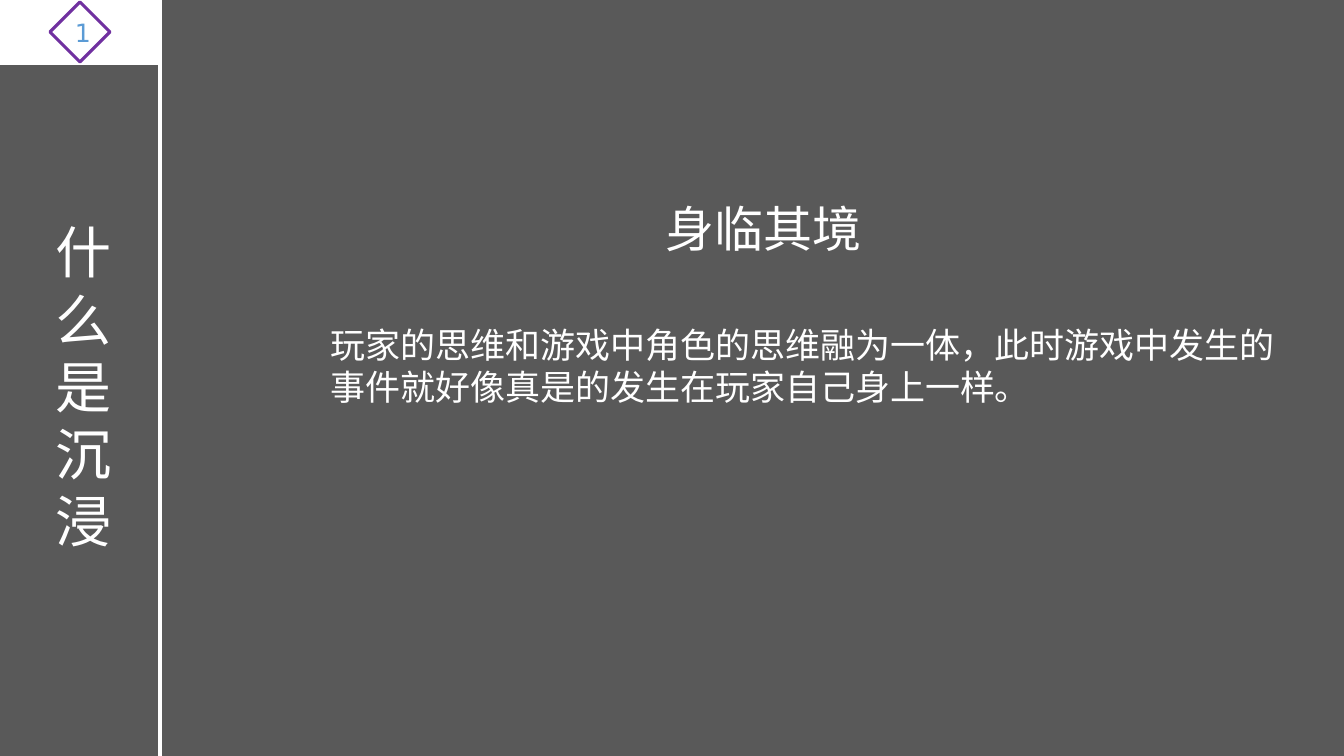
import pptx
import pptx.dml.color
import pptx.enum.shapes
import pptx.enum.text
import pptx.oxml.ns
import pptx.util
from lxml import etree

SLIDE_SIZE = (1344, 756)
SIDEBAR_WIDTH = 160
BADGE_HEIGHT = 64
DIAMOND_SIZE = 60

TEXTS = [
    {"text": "什么是沉浸", "box": (32, 213, 103, 350), "style": "side", "align": "CENTER"},
    {"text": "玩家的思维和游戏中角色的思维融为一体，此时游戏中发生的事件就好像真是的发生在玩家自己身上一样。",
     "box": (321, 319, 967, 137), "style": "body", "align": "LEFT"},
    {"text": "身临其境", "box": (656, 194, 467, 70), "style": "heading", "align": "LEFT"},
]
SECTION_NUMBER = "1"

THEME = {
    "font": "DejaVu Sans",
    "colors": {"background": "595959", "light": "FFFFFF", "diamond": "7030A0", "number": "5B9BD5"},
    "sizes": {"side": 40, "body": 25, "heading": 35, "number": 18},
    "lines": {"thin": 1.5, "thick": 2.25},
}


def px(value):
    return pptx.util.Emu(round(value * 914400 / 100.8))


def color(name):
    return pptx.dml.color.RGBColor.from_string(THEME["colors"][name])


def set_line(shape, color_name, weight):
    shape.line.color.rgb = color(color_name)
    shape.line.width = pptx.util.Pt(THEME["lines"][weight])


def write(shape, text, style, color_name, align):
    paragraph = shape.text_frame.paragraphs[0]
    paragraph.alignment = getattr(pptx.enum.text.PP_ALIGN, align)
    run = paragraph.add_run()
    run.text = text
    run.font.color.rgb = color(color_name)
    font_values = {"name": THEME["font"], "size": pptx.util.Pt(THEME["sizes"][style])}
    for name, value in font_values.items():
        setattr(run.font, name, value)


def add_divider(slide):
    divider = slide.shapes.add_connector(
        pptx.enum.shapes.MSO_CONNECTOR.STRAIGHT,
        px(SIDEBAR_WIDTH), 0, px(SIDEBAR_WIDTH), px(SLIDE_SIZE[1]))
    set_line(divider, "light", "thick")
    properties = divider.element.find(pptx.oxml.ns.qn("p:spPr"))
    etree.SubElement(properties, pptx.oxml.ns.qn("a:effectLst"))


def add_text(slide, item):
    box = slide.shapes.add_textbox(*map(px, item["box"]))
    frame_values = {"word_wrap": True,
                    "auto_size": pptx.enum.text.MSO_AUTO_SIZE.SHAPE_TO_FIT_TEXT}
    for name, value in frame_values.items():
        setattr(box.text_frame, name, value)
    write(box, item["text"], item["style"], "light", item["align"])


def add_badge(slide):
    """Add the white corner panel with the section number in a diamond."""
    kinds = pptx.enum.shapes.MSO_SHAPE
    group = slide.shapes.add_group_shape()
    panel = group.shapes.add_shape(kinds.RECTANGLE, 0, 0, px(SIDEBAR_WIDTH), px(BADGE_HEIGHT))
    panel.fill.solid()
    panel.fill.fore_color.rgb = color("light")
    set_line(panel, "light", "thin")

    left = (SIDEBAR_WIDTH - DIAMOND_SIZE) // 2
    top = (BADGE_HEIGHT - DIAMOND_SIZE) // 2
    diamond = group.shapes.add_shape(
        kinds.DIAMOND, px(left), px(top), px(DIAMOND_SIZE), px(DIAMOND_SIZE))
    diamond.fill.background()
    set_line(diamond, "diamond", "thick")
    diamond.text_frame.vertical_anchor = pptx.enum.text.MSO_ANCHOR.MIDDLE
    write(diamond, SECTION_NUMBER, "number", "number", "CENTER")
    for shape in (panel, diamond):
        shape.shadow.inherit = False


def main():
    presentation = pptx.Presentation()
    presentation.slide_width, presentation.slide_height = map(px, SLIDE_SIZE)
    slide = presentation.slides.add_slide(presentation.slide_layouts[6])
    slide.background.fill.solid()
    slide.background.fill.fore_color.rgb = color("background")

    add_divider(slide)
    add_badge(slide)
    for item in TEXTS:
        add_text(slide, item)
    presentation.save("out.pptx")


if __name__ == "__main__":
    main()
